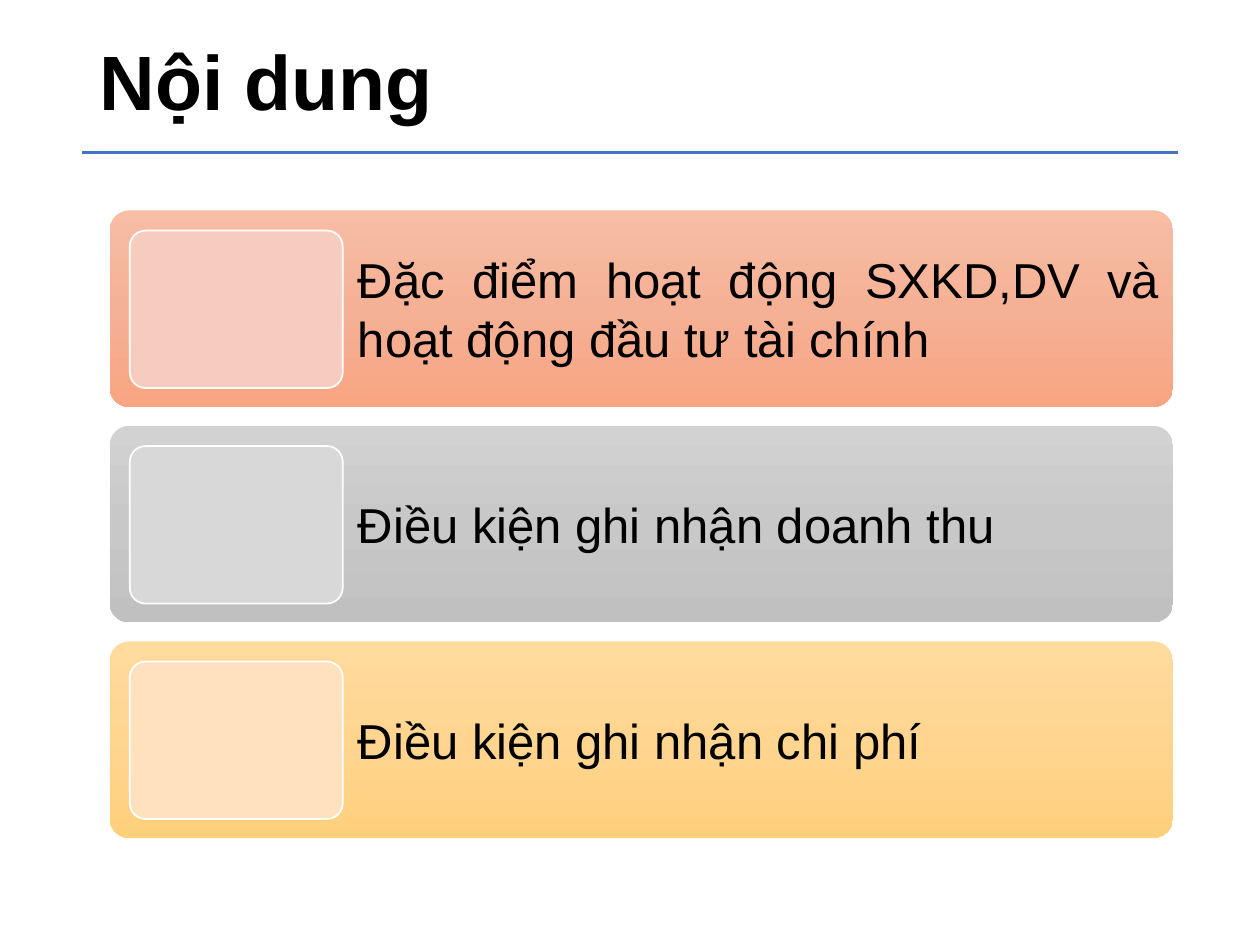
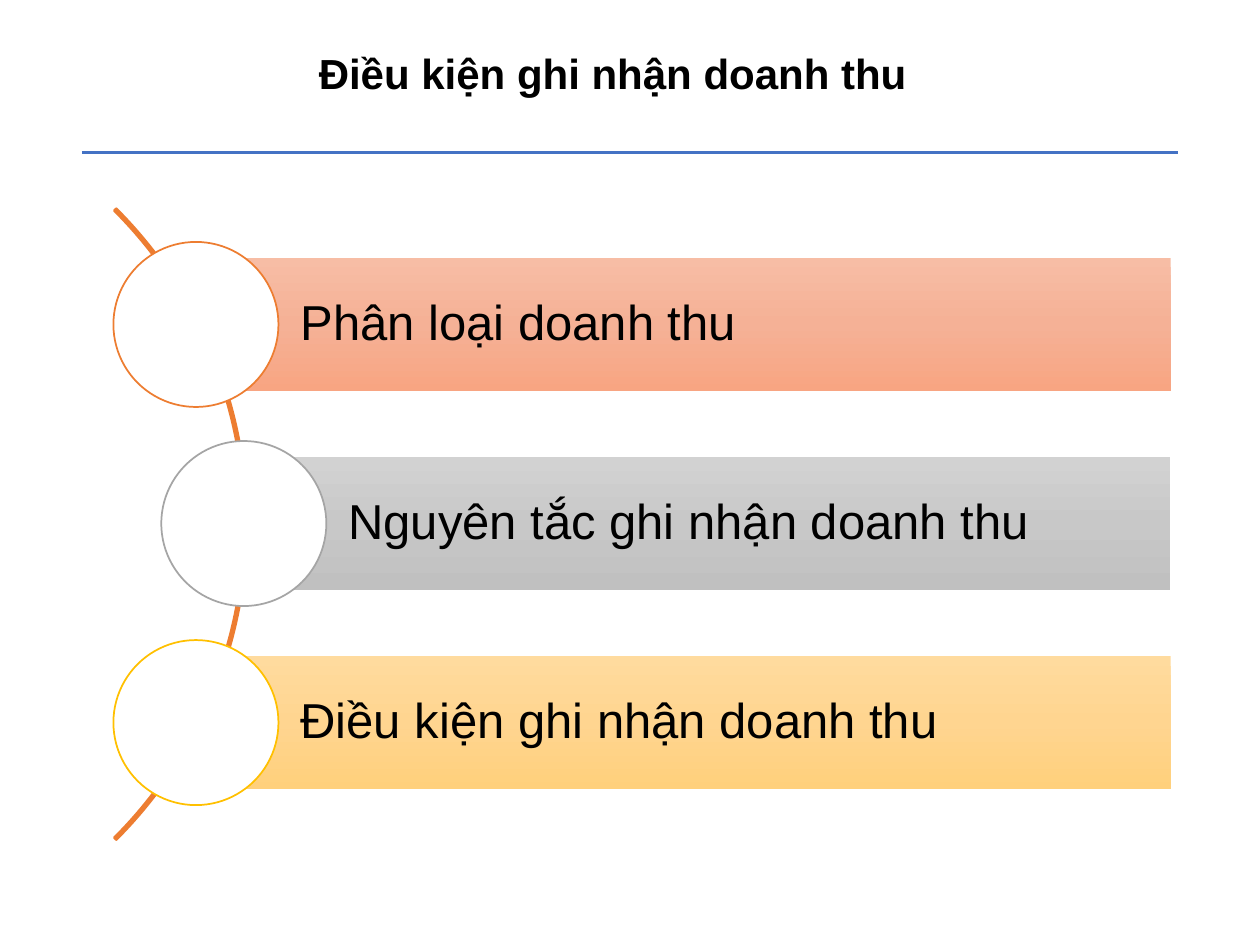
import copy
import dataclasses

import pptx
import pptx.dml.color
import pptx.enum.shapes
import pptx.enum.text
import pptx.oxml.ns
import pptx.oxml.xmlchemy
import pptx.presentation
import pptx.shapes.autoshape
import pptx.slide
import pptx.text.text
import pptx.util

FONT = "Arial"
BLACK = pptx.dml.color.RGBColor(0x00, 0x00, 0x00)
WHITE = pptx.dml.color.RGBColor(0xFF, 0xFF, 0xFF)
RULE_BLUE = pptx.dml.color.RGBColor(0x44, 0x72, 0xC4)
ORANGE = pptx.dml.color.RGBColor(0xED, 0x7D, 0x31)
ORANGE_TOP = pptx.dml.color.RGBColor(0xF7, 0xBD, 0xA5)
ORANGE_MIDDLE = pptx.dml.color.RGBColor(0xF5, 0xB1, 0x96)
ORANGE_BOTTOM = pptx.dml.color.RGBColor(0xF8, 0xA5, 0x82)
ORANGE_TILE = pptx.dml.color.RGBColor(0xF6, 0xCC, 0xBE)
GRAY = pptx.dml.color.RGBColor(0xA5, 0xA5, 0xA5)
GRAY_TOP = pptx.dml.color.RGBColor(0xD2, 0xD2, 0xD2)
GRAY_MIDDLE = pptx.dml.color.RGBColor(0xC8, 0xC8, 0xC8)
GRAY_BOTTOM = pptx.dml.color.RGBColor(0xC0, 0xC0, 0xC0)
GRAY_TILE = pptx.dml.color.RGBColor(0xD8, 0xD8, 0xD8)
GOLD = pptx.dml.color.RGBColor(0xFF, 0xC0, 0x00)
GOLD_TOP = pptx.dml.color.RGBColor(0xFF, 0xDB, 0x9E)
GOLD_MIDDLE = pptx.dml.color.RGBColor(0xFF, 0xD5, 0x90)
GOLD_BOTTOM = pptx.dml.color.RGBColor(0xFF, 0xD0, 0x7C)
GOLD_TILE = pptx.dml.color.RGBColor(0xFF, 0xE2, 0xBD)


@dataclasses.dataclass(frozen=True)
class Theme:
    stops: tuple[pptx.dml.color.RGBColor, ...]
    tile: pptx.dml.color.RGBColor
    accent: pptx.dml.color.RGBColor


@dataclasses.dataclass(frozen=True)
class Title:
    text: str
    size: int
    left: float
    top: float
    width: float
    height: float
    anchor: pptx.enum.text.MSO_ANCHOR
    fit: pptx.enum.text.MSO_AUTO_SIZE
    wrap: bool
    line_spacing: float


@dataclasses.dataclass(frozen=True)
class CircleItem:
    text: str
    circle_left: float


THEMES = (
    Theme((ORANGE_TOP, ORANGE_MIDDLE, ORANGE_BOTTOM), ORANGE_TILE, ORANGE),
    Theme((GRAY_TOP, GRAY_MIDDLE, GRAY_BOTTOM), GRAY_TILE, GRAY),
    Theme((GOLD_TOP, GOLD_MIDDLE, GOLD_BOTTOM), GOLD_TILE, GOLD),
)

CONTENTS_TITLE = Title(
    "Nội dung", 44, 0.69, 0.15, 8.62, 1.06,
    pptx.enum.text.MSO_ANCHOR.MIDDLE, pptx.enum.text.MSO_AUTO_SIZE.NONE, True, 0.9)
REVENUE_TITLE = Title(
    "Điều kiện ghi nhận doanh thu", 24, 2.43, 0.33, 4.91, 0.5,
    pptx.enum.text.MSO_ANCHOR.TOP, pptx.enum.text.MSO_AUTO_SIZE.SHAPE_TO_FIT_TEXT, False, 1.0)

CONTENTS = (
    "Đặc điểm hoạt động SXKD,DV và hoạt động đầu tư tài chính",
    "Điều kiện ghi nhận doanh thu",
    "Điều kiện ghi nhận chi phí",
)
REVENUE_TOPICS = (
    CircleItem("Phân loại doanh thu", 0.9),
    CircleItem("Nguyên tắc ghi nhận doanh thu", 1.28),
    CircleItem("Điều kiện ghi nhận doanh thu", 0.9),
)


def set_font(para: pptx.text.text._Paragraph, size: int, bold: bool = False) -> None:
    para.font.name = FONT
    para.font.size = pptx.util.Pt(size)
    para.font.bold = bold
    para.font.color.rgb = BLACK


def add_titled_page(deck: pptx.presentation.Presentation, title: Title) -> pptx.slide.Slide:
    page = deck.slides.add_slide(deck.slide_layouts[5])
    rule = page.shapes.add_connector(
        pptx.enum.shapes.MSO_CONNECTOR.STRAIGHT,
        pptx.util.Inches(0.65), pptx.util.Inches(1.21),
        pptx.util.Inches(9.35), pptx.util.Inches(1.21))
    rule.line.color.rgb = RULE_BLUE
    rule.line.width = pptx.util.Pt(1.5)
    rule._element.spPr.append(pptx.oxml.xmlchemy.OxmlElement("a:effectLst"))

    box = page.shapes.title
    box.left, box.top = pptx.util.Inches(title.left), pptx.util.Inches(title.top)
    box.width, box.height = pptx.util.Inches(title.width), pptx.util.Inches(title.height)
    frame = box.text_frame
    frame.text = title.text
    frame.vertical_anchor = title.anchor
    frame.auto_size = title.fit
    frame.word_wrap = title.wrap
    para = frame.paragraphs[0]
    para.alignment = pptx.enum.text.PP_ALIGN.LEFT
    para.line_spacing = title.line_spacing
    set_font(para, title.size, True)
    return page


def add_plain_shape(page: pptx.slide.Slide, kind: pptx.enum.shapes.MSO_SHAPE, left: float,
                    top: float, width: float, height: float) -> pptx.shapes.autoshape.Shape:
    shape = page.shapes.add_shape(
        kind, pptx.util.Inches(left), pptx.util.Inches(top),
        pptx.util.Inches(width), pptx.util.Inches(height))
    shape.shadow.inherit = False
    shape.line.fill.background()
    if kind == pptx.enum.shapes.MSO_SHAPE.ROUNDED_RECTANGLE:
        shape.adjustments[0] = 0.1
    return shape


def fill_solid(shape: pptx.shapes.autoshape.Shape, fill: pptx.dml.color.RGBColor,
               line: pptx.dml.color.RGBColor) -> None:
    shape.fill.solid()
    shape.fill.fore_color.rgb = fill
    shape.line.color.rgb = line
    shape.line.width = pptx.util.Pt(1)


def fill_gradient(shape: pptx.shapes.autoshape.Shape,
                  colors: tuple[pptx.dml.color.RGBColor, ...]) -> None:
    shape.fill.gradient()
    shape.fill.gradient_angle = 270
    stop_list = next(shape._element.spPr.iter(pptx.oxml.ns.qn("a:gsLst")))
    stop_list.insert(1, copy.deepcopy(stop_list[0]))
    for index, (stop, color) in enumerate(zip(shape.fill.gradient_stops, colors)):
        stop.color.rgb = color
        stop.position = index / 2


def write_label(shape: pptx.shapes.autoshape.Shape, text: str,
                alignment: pptx.enum.text.PP_ALIGN, line_spacing: float,
                left_inset: float, inset: float) -> None:
    frame = shape.text_frame
    frame.text = text
    frame.word_wrap = True
    frame.vertical_anchor = pptx.enum.text.MSO_ANCHOR.MIDDLE
    frame.margin_left = pptx.util.Inches(left_inset)
    frame.margin_top = frame.margin_right = frame.margin_bottom = pptx.util.Inches(inset)
    para = frame.paragraphs[0]
    para.alignment = alignment
    para.line_spacing = line_spacing
    set_font(para, 28)


def add_contents_row(page: pptx.slide.Slide, text: str, theme: Theme, top: float) -> None:
    rounded = pptx.enum.shapes.MSO_SHAPE.ROUNDED_RECTANGLE
    height = 1.56
    bar = add_plain_shape(page, rounded, 0.87, top, 8.44, height)
    fill_gradient(bar, theme.stops)
    label = page.shapes.add_textbox(
        pptx.util.Inches(2.72), pptx.util.Inches(top),
        pptx.util.Inches(6.6), pptx.util.Inches(height))
    write_label(label, text, pptx.enum.text.PP_ALIGN.JUSTIFY, 1.0, 0.12, 0.12)
    tile = add_plain_shape(page, rounded, 1.03, top + 0.16, 1.69, 1.25)
    fill_solid(tile, theme.tile, WHITE)


def add_circle_row(page: pptx.slide.Slide, item: CircleItem, theme: Theme, top: float) -> None:
    diameter, bar_height, bar_right = 1.31, 1.05, 9.29
    bar_left = item.circle_left + diameter / 2
    bar = add_plain_shape(page, pptx.enum.shapes.MSO_SHAPE.RECTANGLE,
                          bar_left, top, bar_right - bar_left, bar_height)
    fill_gradient(bar, theme.stops)
    write_label(bar, item.text, pptx.enum.text.PP_ALIGN.LEFT, 0.9, 0.83, 0.08)
    circle = add_plain_shape(page, pptx.enum.shapes.MSO_SHAPE.OVAL, item.circle_left,
                             top - (diameter - bar_height) / 2, diameter, diameter)
    fill_solid(circle, WHITE, theme.accent)


def add_arc(page: pptx.slide.Slide) -> None:
    arc = add_plain_shape(
        page, pptx.enum.shapes.MSO_SHAPE.BLOCK_ARC, -5.12, 0.62, 7.08, 7.08)
    for index, value in enumerate((189, 27, 0.003)):
        arc.adjustments[index] = value
    arc.fill.background()
    arc.line.color.rgb = ORANGE
    arc.line.width = pptx.util.Pt(1.5)


def main() -> None:
    deck = pptx.Presentation()
    deck.slide_width, deck.slide_height = pptx.util.Inches(10), pptx.util.Inches(7.5)

    contents_page = add_titled_page(deck, CONTENTS_TITLE)
    for row, (text, theme) in enumerate(zip(CONTENTS, THEMES)):
        add_contents_row(contents_page, text, theme, 1.67 + row * 1.71)

    revenue_page = add_titled_page(deck, REVENUE_TITLE)
    add_arc(revenue_page)
    for row, (item, theme) in enumerate(zip(REVENUE_TOPICS, THEMES)):
        add_circle_row(revenue_page, item, theme, 2.05 + row * 1.58)

    deck.save("out.pptx")


if __name__ == "__main__":
    main()
